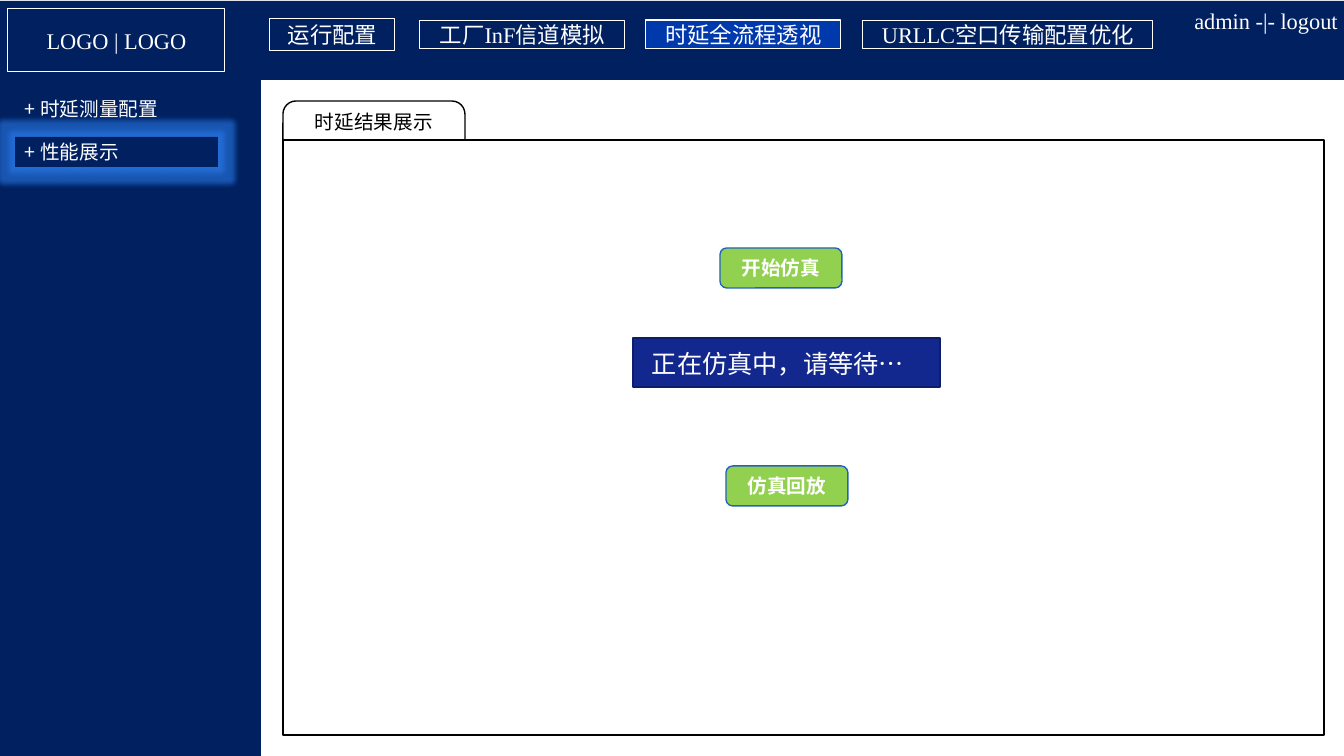
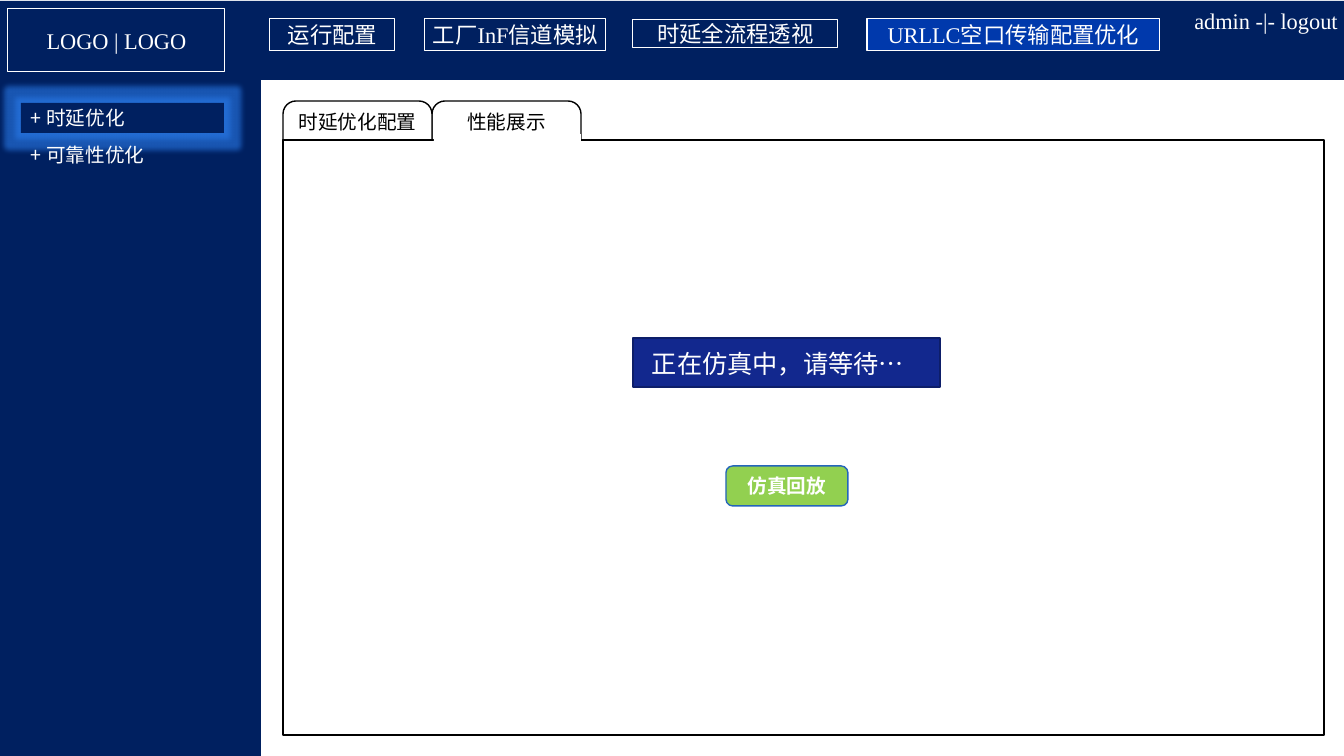
from dataclasses import dataclass
from typing import NamedTuple, Optional

from lxml import etree
from pptx import Presentation
from pptx.dml.color import RGBColor
from pptx.enum.shapes import MSO_SHAPE
from pptx.enum.text import MSO_ANCHOR, PP_ALIGN
from pptx.oxml.ns import qn
from pptx.util import Emu, Pt

RECT, ROUNDED = MSO_SHAPE.RECTANGLE, MSO_SHAPE.ROUNDED_RECTANGLE
LEFT, CENTER = PP_ALIGN.LEFT, PP_ALIGN.CENTER
TOP, MIDDLE = MSO_ANCHOR.TOP, MSO_ANCHOR.MIDDLE

EMU_PER_PX = 914400 / 100.8
SLIDE_W, SLIDE_H = 1344, 756

NAVY, ACTIVE_BLUE, GLOW_BLUE = "002060", "0039AC", "2A7BEA"
NOTICE_BLUE, NOTICE_EDGE = "12288E", "0D1E69"
GREEN, GREEN_EDGE = "92D050", "2465BB"
WHITE, BLACK = "FFFFFF", "000000"
LATIN_FONT, CJK_FONT = "Times New Roman", "Noto Sans CJK SC"


class Box(NamedTuple):
    left: int
    top: int
    width: int
    height: int


class TextStyle(NamedTuple):
    size: int
    color: str = WHITE
    font: str = LATIN_FONT
    bold: bool = False
    align: PP_ALIGN = CENTER
    anchor: MSO_ANCHOR = MIDDLE
    tight: bool = False


class Label(NamedTuple):
    text: str
    box: Box


@dataclass(frozen=True)
class Screen:
    nav: list[Label]
    active_nav: int
    menu: list[Label]
    active_menu: int
    tabs: list[str]
    tab_width: int
    buttons: list[Label]


LOGO_TEXT = TextStyle(16)
NAV_TEXT = TextStyle(16, tight=True)
MENU_TEXT = TextStyle(14, font=CJK_FONT, align=LEFT)
TAB_TEXT = TextStyle(14, BLACK, anchor=TOP)
BUTTON_TEXT = TextStyle(14, bold=True)
NOTICE_TEXT = TextStyle(18, align=LEFT, anchor=TOP)

CONTENT = Box(283, 140, 1041, 595)
TAB_TOP, TAB_H = 101, 78
REPLAY = Label("仿真回放", Box(726, 466, 122, 40))
RUN_CONFIG = Label("运行配置", Box(270, 19, 125, 32))

SCREENS = [
    Screen(
        nav=[
            RUN_CONFIG,
            Label("工厂InF信道模拟", Box(420, 21, 205, 28)),
            Label("时延全流程透视", Box(646, 20, 195, 29)),
            Label("URLLC空口传输配置优化", Box(863, 21, 290, 28)),
        ],
        active_nav=2,
        menu=[
            Label("+ 时延测量配置", Box(15, 91, 203, 35)),
            Label("+ 性能展示", Box(15, 137, 203, 30)),
        ],
        active_menu=1,
        tabs=["时延结果展示"],
        tab_width=182,
        buttons=[REPLAY, Label("开始仿真", Box(720, 248, 122, 40))],
    ),
    Screen(
        nav=[
            RUN_CONFIG,
            Label("工厂InF信道模拟", Box(425, 19, 181, 32)),
            Label("时延全流程透视", Box(633, 20, 205, 28)),
            Label("URLLC空口传输配置优化", Box(867, 19, 293, 32)),
        ],
        active_nav=3,
        menu=[
            Label("+ 时延优化", Box(21, 103, 203, 30)),
            Label("+ 可靠性优化", Box(21, 137, 203, 35)),
        ],
        active_menu=0,
        tabs=["时延优化配置", "性能展示"],
        tab_width=149,
        buttons=[REPLAY],
    ),
]


def rgb(color: str) -> RGBColor:
    return RGBColor.from_string(color)


def emu(box: Box) -> list[Emu]:
    return [Emu(round(length * EMU_PER_PX)) for length in box]


def write(shape, text: str, style: TextStyle) -> None:
    frame = shape.text_frame
    frame.word_wrap = True
    frame.vertical_anchor = style.anchor
    if style.tight:
        frame.margin_left = frame.margin_right = 0
        frame.margin_top = frame.margin_bottom = 0
    paragraph = frame.paragraphs[0]
    paragraph.text = text
    paragraph.alignment = style.align
    font = paragraph.font
    font.size, font.bold, font.name = Pt(style.size), style.bold, style.font
    font.color.rgb = rgb(style.color)
    defaults = paragraph._p.pPr.find(qn("a:defRPr"))
    etree.SubElement(defaults, qn("a:ea"), typeface=CJK_FONT)


def add_box(slide, box: Box, fill: Optional[str] = None,
            line: Optional[str] = None, line_pt: float = 1, kind: MSO_SHAPE = RECT):
    shape = slide.shapes.add_shape(kind, *emu(box))
    shape.shadow.inherit = False
    if fill:
        shape.fill.solid()
        shape.fill.fore_color.rgb = rgb(fill)
    else:
        shape.fill.background()
    if line:
        shape.line.color.rgb = rgb(line)
        shape.line.width = Pt(line_pt)
    else:
        shape.line.fill.background()
    return shape


def add_text(slide, label: Label, style: TextStyle) -> None:
    write(slide.shapes.add_textbox(*emu(label.box)), label.text, style)


def add_glow(shape) -> None:
    effects = shape._element.spPr.find(qn("a:effectLst"))
    glow = etree.SubElement(effects, qn("a:glow"), rad=str(Pt(8)))
    color = etree.SubElement(glow, qn("a:srgbClr"), val=GLOW_BLUE)
    etree.SubElement(color, qn("a:alpha"), val="60000")


def draw_frame(slide) -> None:
    # Side and top bands, logo box, account links
    add_box(slide, Box(0, 47, 261, SLIDE_H - 47), NAVY)
    add_box(slide, Box(0, 1, SLIDE_W, 79), NAVY)
    write(add_box(slide, Box(8, 9, 217, 63), line=WHITE, line_pt=0.75),
          "LOGO | LOGO", LOGO_TEXT)
    add_text(slide, Label("admin -|- logout", Box(1189, 7, 154, 28)), NAV_TEXT)


def draw_nav(slide, screen: Screen) -> None:
    for index, item in enumerate(screen.nav):
        fill = ACTIVE_BLUE if index == screen.active_nav else None
        write(add_box(slide, item.box, fill, WHITE, 0.75), item.text, NAV_TEXT)


def draw_menu(slide, screen: Screen) -> None:
    for index, item in enumerate(screen.menu):
        if index == screen.active_menu:
            entry = add_box(slide, item.box, NAVY)
            add_glow(entry)
            write(entry, item.text, MENU_TEXT)
        else:
            add_text(slide, item, MENU_TEXT)


def draw_content(slide, screen: Screen) -> None:
    # Tabs stand behind the content panel, the first one in front
    for index, title in reversed(list(enumerate(screen.tabs))):
        box = Box(CONTENT.left + index * screen.tab_width, TAB_TOP,
                  screen.tab_width, TAB_H)
        write(add_box(slide, box, WHITE, BLACK, kind=ROUNDED), title, TAB_TEXT)
    add_box(slide, CONTENT, WHITE, BLACK)

    # A second tab is the open one: clear the edge below it
    if len(screen.tabs) > 1:
        add_box(slide, Box(434, 134, 147, 11), WHITE)

    # Waiting notice and buttons
    add_box(slide, Box(633, 338, 307, 49), NOTICE_BLUE, NOTICE_EDGE)
    add_text(slide, Label("正在仿真中，请等待…", Box(642, 343, 375, 40)), NOTICE_TEXT)
    for button in screen.buttons:
        write(add_box(slide, button.box, GREEN, GREEN_EDGE, kind=ROUNDED),
              button.text, BUTTON_TEXT)


def main() -> None:
    deck = Presentation()
    deck.slide_width = Emu(round(SLIDE_W * EMU_PER_PX))
    deck.slide_height = Emu(round(SLIDE_H * EMU_PER_PX))
    for screen in SCREENS:
        slide = deck.slides.add_slide(deck.slide_layouts[6])
        draw_frame(slide)
        draw_content(slide, screen)
        draw_menu(slide, screen)
        draw_nav(slide, screen)
    deck.save("out.pptx")


main()
